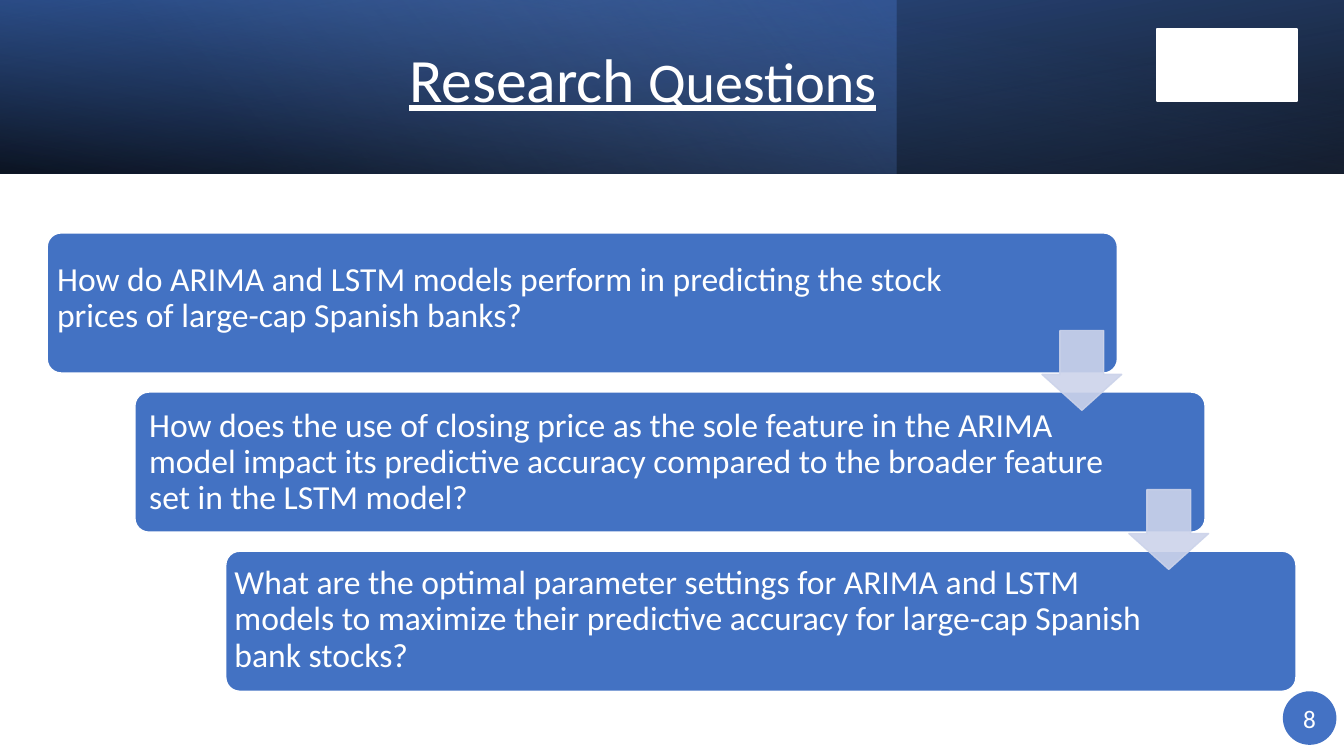
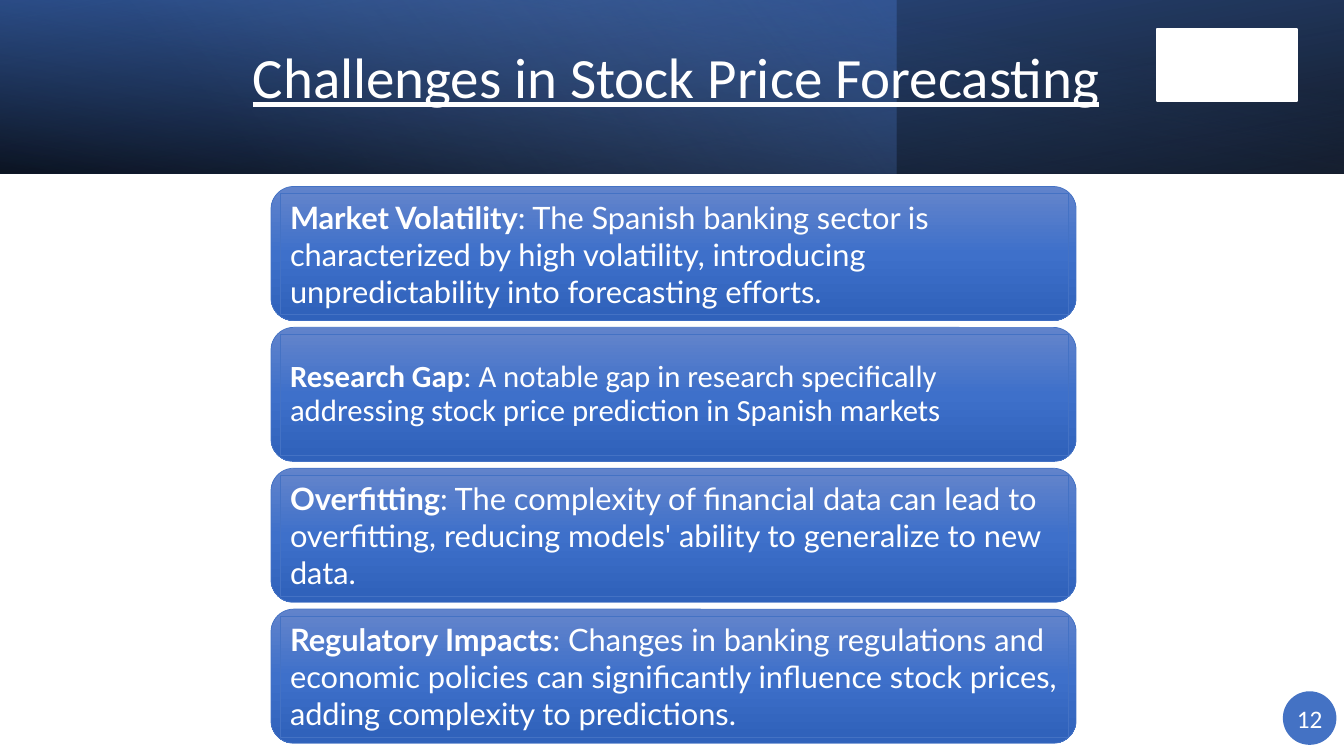
from dataclasses import dataclass
from typing import Any, NamedTuple, Optional, Sequence

from lxml.etree import SubElement
from pptx import Presentation
from pptx.dml.color import RGBColor
from pptx.enum.shapes import MSO_SHAPE
from pptx.enum.text import MSO_ANCHOR, PP_ALIGN
from pptx.oxml import parse_xml
from pptx.oxml.ns import nsdecls, qn
from pptx.util import Cm, Pt


class Box(NamedTuple):
    """Left, top, width and height in centimetres."""
    left: float
    top: float
    width: float
    height: float


class Stop(NamedTuple):
    position: int
    color: str
    opacity: int = 100


class Gradient(NamedTuple):
    stops: Sequence[Stop]
    angle: int


class Run(NamedTuple):
    text: str
    bold: bool = False
    size: Optional[float] = None


@dataclass(frozen=True)
class Theme:
    white: str = "FFFFFF"
    question: str = "4372C3"
    arrow: str = "CCD3EA"
    accent: str = "4472C4"
    challenge: Gradient = Gradient(
        (Stop(0, "6183CB"), Stop(50, "3E70CA"), Stop(100, "3062BB")), 90)
    font: str = "Calibri"
    challenge_font: str = "Lato"
    title_size: float = 40
    question_size: float = 24
    challenge_size: float = 22
    number_size: float = 18


@dataclass(frozen=True)
class BandLayer:
    width: float
    gradient: Gradient
    rotation: int = 0
    flipped: bool = False


@dataclass(frozen=True)
class Question:
    text: str
    card_left: float
    text_box: Box


@dataclass(frozen=True)
class Challenge:
    heading: str
    detail: str
    font: str
    line_spacing: float = 1.0


THEME = Theme()
SLIDE_WIDTH, SLIDE_HEIGHT = 33.87, 19.05
BAND_HEIGHT = 4.37
LOGO_PLACE = Box(29.16, 0.74, 3.53, 1.8)
NUMBER_PLACE = Box(32.33, 17.42, 1.35, 1.35)

BAND_LAYERS = (
    BandLayer(SLIDE_WIDTH, Gradient((Stop(0, "000000", 96), Stop(100, "2F5597")), 100),
              rotation=180, flipped=True),
    BandLayer(22.58, Gradient((Stop(0, "4472C4", 41), Stop(74, "8FAADC", 0)), 140)),
    BandLayer(SLIDE_WIDTH, Gradient((Stop(0, "000000", 63), Stop(78, "4472C4", 15)), 260),
              flipped=True),
)

QUESTIONS = (
    Question("How do ARIMA and LSTM models perform in predicting the stock prices of "
             "large-cap Spanish banks?", 1.19, Box(1.19, 6.07, 23.42, 2.9)),
    Question("How does the use of closing price as the sole feature in the ARIMA model "
             "impact its predictive accuracy compared to the broader feature set in the "
             "LSTM model?", 3.4, Box(3.51, 10.21, 24.89, 2.9)),
    Question("What are the optimal parameter settings for ARIMA and LSTM models to "
             "maximize their predictive accuracy for large-cap Spanish bank stocks?",
             5.69, Box(5.66, 14.17, 23.83, 2.9)),
)

CHALLENGES = (
    Challenge("Market Volatility", ": The Spanish banking sector is characterized by high "
              "volatility, introducing unpredictability into forecasting efforts.",
              THEME.challenge_font),
    Challenge("Research Gap", ": A notable gap in research specifically addressing stock "
              "price prediction in Spanish markets", THEME.font, 0.9),
    Challenge("Overfitting", ": The complexity of financial data can lead to overfitting, "
              "reducing models' ability to generalize to new data.", THEME.challenge_font),
    Challenge("Regulatory Impacts", ": Changes in banking regulations and economic policies "
              "can significantly influence stock prices, adding complexity to predictions.",
              THEME.challenge_font),
)


def place(box: Box) -> list[int]:
    return [Cm(length) for length in box]


def apply_gradient(shape: Any, gradient: Gradient) -> None:
    stops = "".join(
        f'<a:gs pos="{stop.position * 1000}"><a:srgbClr val="{stop.color}">'
        f'<a:alpha val="{stop.opacity * 1000}"/></a:srgbClr></a:gs>'
        for stop in gradient.stops)
    shape.fill.background()
    properties = shape.element.spPr
    properties.replace(properties.find(qn("a:noFill")), parse_xml(
        f'<a:gradFill {nsdecls("a")} rotWithShape="1"><a:gsLst>{stops}</a:gsLst>'
        f'<a:lin ang="{gradient.angle * 60000}" scaled="0"/></a:gradFill>'))


def add_figure(slide: Any, kind: MSO_SHAPE, box: Box, fill: str | Gradient, *,
               line: Optional[str] = None, line_width: float = 1,
               adjustments: Sequence[float] = (), opacity: int = 100) -> Any:
    shape = slide.shapes.add_shape(kind, *place(box))
    shape.shadow.inherit = False
    for index, value in enumerate(adjustments):
        shape.adjustments[index] = value
    if isinstance(fill, Gradient):
        apply_gradient(shape, fill)
    else:
        shape.fill.solid()
        shape.fill.fore_color.rgb = RGBColor.from_string(fill)
    if line:
        shape.line.color.rgb = RGBColor.from_string(line)
        shape.line.width = Pt(line_width)
    else:
        shape.line.fill.background()
    if opacity < 100:
        for color in list(shape.element.spPr.iter(qn("a:srgbClr"))):
            SubElement(color, qn("a:alpha")).set("val", str(opacity * 1000))
    return shape


def write_text(shape: Any, runs: Sequence[Run], *, size: float, font: str = THEME.font,
               underline: bool = False, align: PP_ALIGN = PP_ALIGN.LEFT,
               line_spacing: float = 1.0, space_after: float = 6,
               side_margin: float = 0.25, end_margin: float = 0.25,
               wrap: bool = True) -> None:
    frame = shape.text_frame
    frame.word_wrap = wrap
    frame.vertical_anchor = MSO_ANCHOR.MIDDLE
    frame.margin_left = frame.margin_right = Cm(side_margin)
    frame.margin_top = frame.margin_bottom = Cm(end_margin)
    paragraph = frame.paragraphs[0]
    paragraph.alignment = align
    paragraph.line_spacing = line_spacing
    paragraph.space_after = Pt(space_after)
    for part in runs:
        run = paragraph.add_run()
        run.text = part.text
        run.font.name = font
        run.font.size = Pt(part.size or size)
        run.font.bold = part.bold
        run.font.underline = underline
        run.font.color.rgb = RGBColor.from_string(THEME.white)


def add_base_slide(deck: Any, title: Sequence[Run], title_place: Box,
                   title_size: float, number: int) -> Any:
    slide = deck.slides.add_slide(deck.slide_layouts[6])
    # Layered title band
    for layer in BAND_LAYERS:
        band = add_figure(slide, MSO_SHAPE.RECTANGLE,
                          Box(0, 0, layer.width, BAND_HEIGHT), layer.gradient)
        band.rotation = layer.rotation
        if layer.flipped:
            band.element.spPr.find(qn("a:xfrm")).set("flipH", "1")
    # Title
    heading = slide.shapes.add_textbox(*place(title_place))
    write_text(heading, title, size=title_size, underline=True, line_spacing=0.9,
               end_margin=0.13)
    # Logo panel and slide number
    add_figure(slide, MSO_SHAPE.RECTANGLE, LOGO_PLACE, THEME.white,
               line=THEME.white, line_width=1.5)
    badge = add_figure(slide, MSO_SHAPE.OVAL, NUMBER_PLACE, THEME.accent)
    write_text(badge, [Run(str(number))], size=THEME.number_size, align=PP_ALIGN.CENTER,
               space_after=0, side_margin=0, end_margin=0, wrap=False)
    return slide


def build_questions(deck: Any) -> None:
    slide = add_base_slide(deck, [Run("Research", size=44), Run(" Questions")],
                           Box(10.06, 0.46, 12.52, 3.23), THEME.title_size, 8)
    step = 4.01
    # Staggered question cards
    for row, question in enumerate(QUESTIONS):
        add_figure(slide, MSO_SHAPE.ROUNDED_RECTANGLE,
                   Box(question.card_left, 5.87 + row * step, 26.97, 3.53),
                   THEME.question, line=THEME.white, adjustments=[0.1])
        wording = slide.shapes.add_textbox(*place(question.text_box))
        write_text(wording, [Run(question.text)], size=THEME.question_size,
                   line_spacing=0.9)
    # Arrows from each card to the next
    for row in range(len(QUESTIONS) - 1):
        add_figure(slide, MSO_SHAPE.DOWN_ARROW,
                   Box(26.26 + row * 2.19, 8.33 + row * step, 2.01, 2.01), THEME.arrow,
                   line=THEME.arrow, adjustments=[0.55, 0.45], opacity=90)


def build_challenges(deck: Any) -> None:
    slide = add_base_slide(deck, [Run("Challenges in Stock Price Forecasting")],
                           Box(6.12, 0.41, 21.87, 3.23), 40.7, 12)
    # Stacked challenge cards, each with an inner text panel
    for row, challenge in enumerate(CHALLENGES):
        top = 4.7 + row * 3.55
        add_figure(slide, MSO_SHAPE.ROUNDED_RECTANGLE, Box(6.83, top, 20.29, 3.38),
                   THEME.challenge, line=THEME.accent, line_width=0.5,
                   adjustments=[0.17])
        panel = add_figure(slide, MSO_SHAPE.RECTANGLE, Box(7.06, top + 0.17, 19.86, 3.05),
                           THEME.challenge, line=THEME.accent, line_width=0.5)
        write_text(panel, [Run(challenge.heading, bold=True), Run(challenge.detail)],
                   size=THEME.challenge_size, font=challenge.font,
                   line_spacing=challenge.line_spacing)


def main() -> None:
    deck = Presentation()
    deck.slide_width, deck.slide_height = Cm(SLIDE_WIDTH), Cm(SLIDE_HEIGHT)
    build_questions(deck)
    build_challenges(deck)
    deck.save("out.pptx")


if __name__ == "__main__":
    main()
